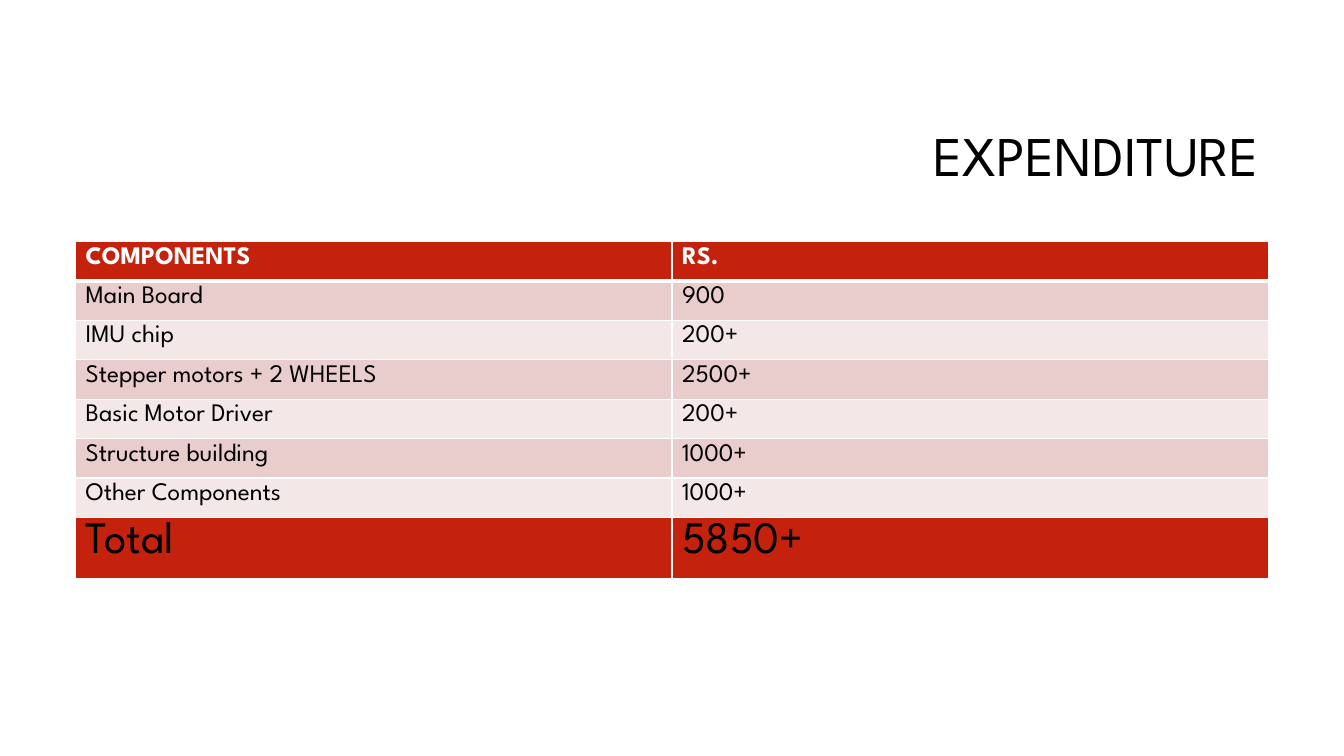
from lxml import etree
from pptx import Presentation
from pptx.dml.color import RGBColor
from pptx.enum.text import MSO_ANCHOR, MSO_AUTO_SIZE, PP_ALIGN
from pptx.oxml.ns import qn
from pptx.util import Pt

MIDDLE = MSO_ANCHOR.MIDDLE
FIXED = MSO_AUTO_SIZE.NONE
RIGHT = PP_ALIGN.RIGHT

TITLE = "EXPENDITURE"
HEAD = ("COMPONENTS", "RS.")
ITEMS = [
    ("Main Board", "900"),
    ("IMU chip", "200+"),
    ("Stepper motors + 2 WHEELS", "2500+"),
    ("Basic Motor Driver", "200+"),
    ("Structure building", "1000+"),
    ("Other Components", "1000+"),
]
TOTAL = ("Total", "5850+")

FONT = "League Spartan"
COLORS = {
    "red": "C4220D",
    "rose": "E9CCCC",
    "pale": "F4E7E7",
    "white": "FFFFFF",
    "black": "000000",
}
THIN, THICK = 0.96, 3
LEFT, TOP = 54, 172.5
COL, ROW, LAST = 426, 28.15, 44


def color(name):
    return RGBColor.from_string(COLORS[name])


def write(frame, text, size, ink, bold=False):
    run = frame.paragraphs[0].add_run()
    run.text = text
    run.font.name = FONT
    run.font.size = Pt(size)
    run.font.bold = bold
    run.font.color.rgb = color(ink)


def edge(cell, side, width):
    line = etree.SubElement(cell._tc.get_or_add_tcPr(), qn("a:ln" + side))
    line.set("w", str(Pt(width)))
    fill = etree.SubElement(line, qn("a:solidFill"))
    etree.SubElement(fill, qn("a:srgbClr")).set("val", COLORS["white"])


def style(row):
    if row == 0:
        return "red", "white", 18
    if row > len(ITEMS):
        return "red", "black", 32
    return ("rose" if row % 2 else "pale"), "black", 18


def add_title(slide):
    title = slide.shapes.title
    title.left, title.top = Pt(228.2), Pt(62.6)
    title.width, title.height = Pt(678.2), Pt(101.5)
    frame = title.text_frame
    frame.word_wrap = True
    frame.auto_size = FIXED
    frame.vertical_anchor = MIDDLE
    para = frame.paragraphs[0]
    para.alignment = RIGHT
    para.line_spacing = 0.9
    write(frame, TITLE, 40, "black")


def add_costs(slide):
    rows = [HEAD, *ITEMS, TOTAL]
    high = ROW * (len(rows) - 1) + LAST
    table = slide.shapes.add_table(
        len(rows), len(HEAD), Pt(LEFT), Pt(TOP), Pt(COL * len(HEAD)), Pt(high)
    ).table
    for col in table.columns:
        col.width = Pt(COL)
    for r, texts in enumerate(rows):
        table.rows[r].height = Pt(LAST if r == len(rows) - 1 else ROW)
        back, ink, size = style(r)
        for c, text in enumerate(texts):
            cell = table.cell(r, c)
            edge(cell, "L", THIN)
            edge(cell, "R", THIN)
            edge(cell, "T", THICK if r == 1 else THIN)
            edge(cell, "B", THICK if r == 0 else THIN)
            cell.fill.solid()
            cell.fill.fore_color.rgb = color(back)
            write(cell.text_frame, text, size, ink, r == 0)


def main():
    deck = Presentation()
    deck.slide_width, deck.slide_height = Pt(960), Pt(540)
    slide = deck.slides.add_slide(deck.slide_layouts[5])
    add_title(slide)
    add_costs(slide)
    deck.save("out.pptx")


if __name__ == "__main__":
    main()
